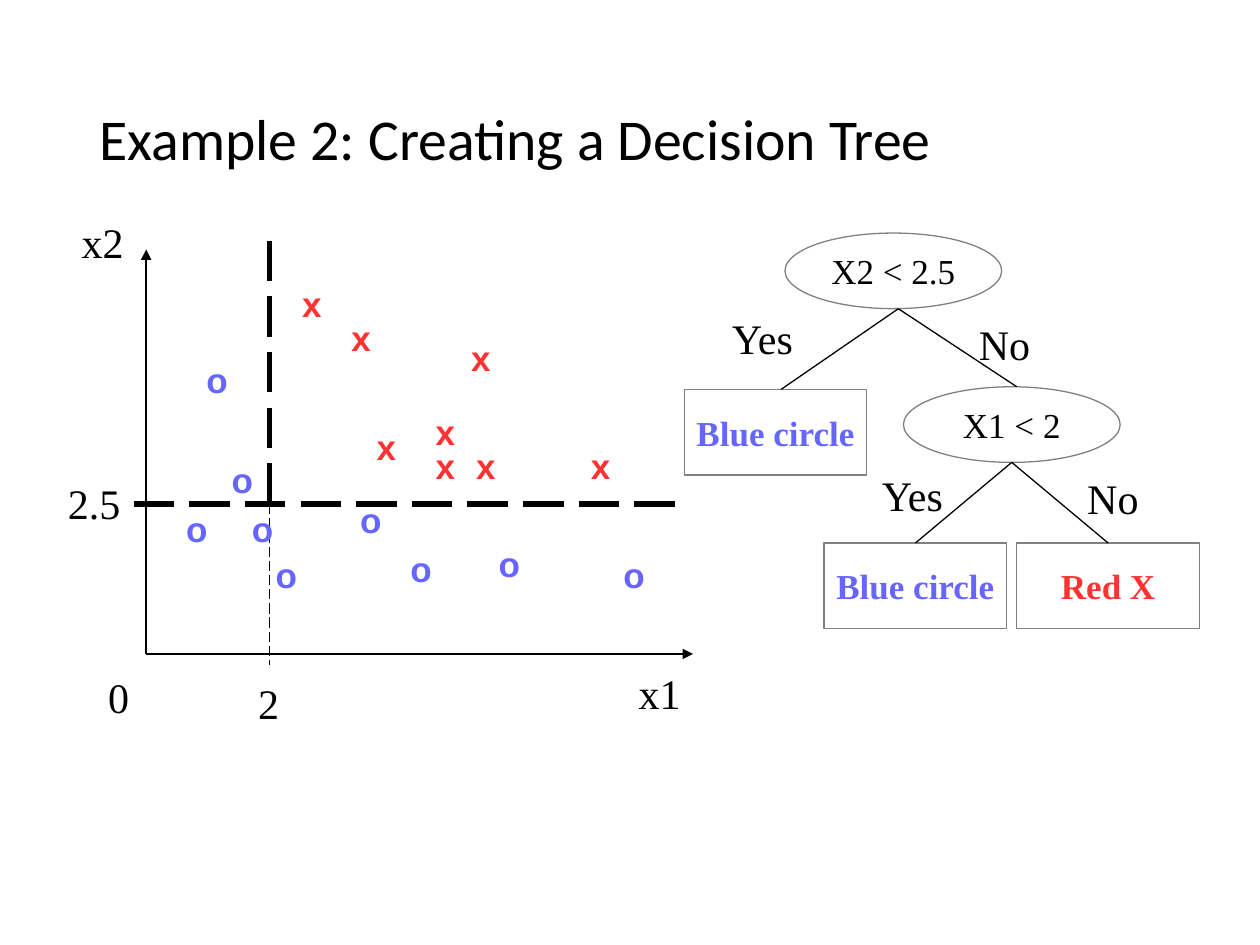
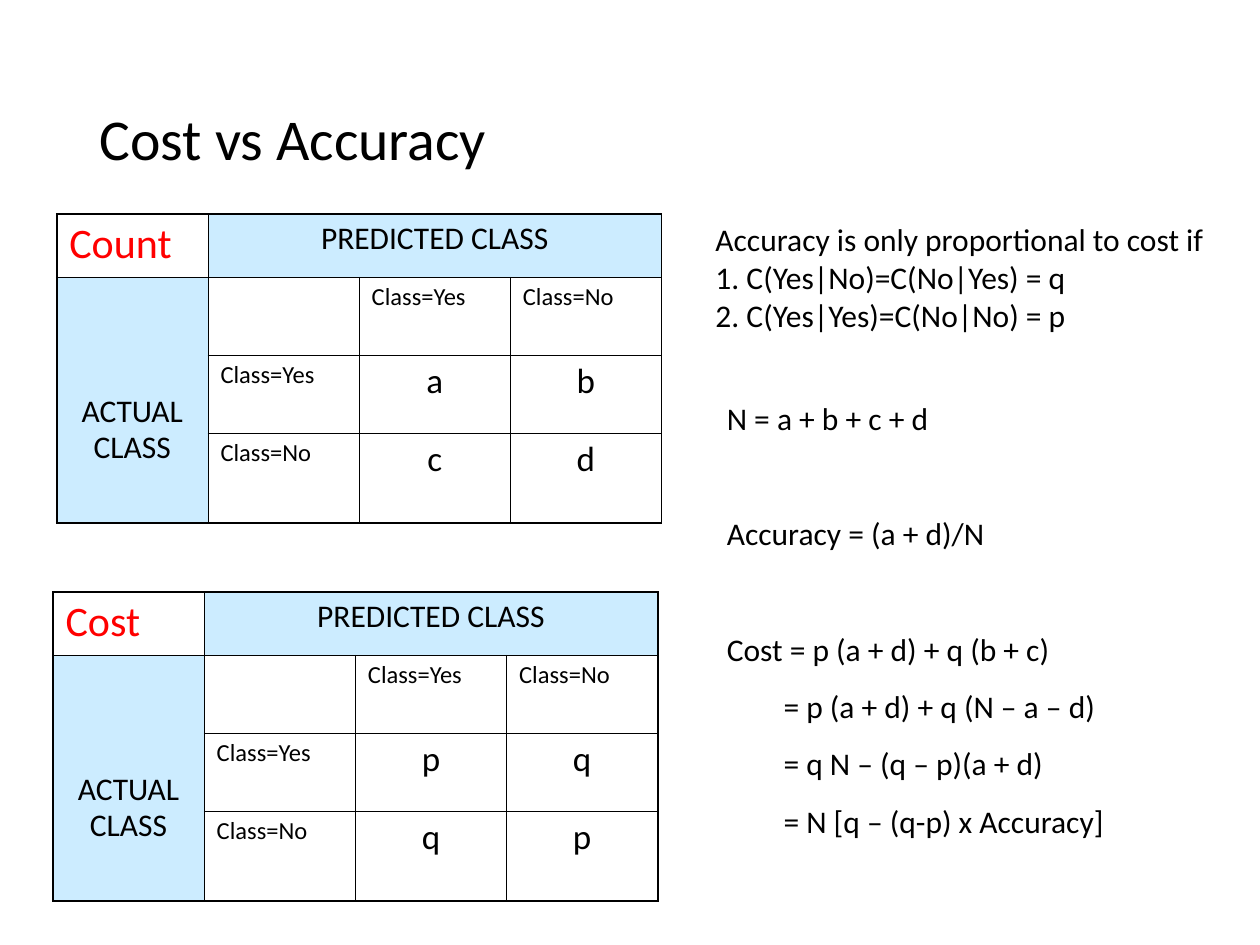
from dataclasses import dataclass

from lxml import etree
from pptx import Presentation
from pptx import util as u
from pptx.dml.color import RGBColor
from pptx.enum import dml, shapes, text
from pptx.oxml.ns import qn

# Shared look
BLACK, WHITE, GREY = "000000", "FFFFFF", "808080"
BLUE, RED = "6666FF", "FF3333"
HEADING_RED, HEADER_FILL = "FF0000", "CCECFF"
SANS, SERIF, MARKER_FONT = "Calibri", "Times New Roman", "Arial"
THIN, THICK = 0.75, 2.89
CENTER = text.PP_ALIGN.CENTER
TITLE_ONLY = 5


@dataclass
class Node:
    label: str
    left: float
    top: float
    color: str = BLACK
    leaf: bool = False


@dataclass
class Line:
    start: tuple[float, float]
    end: tuple[float, float]
    width: float = THIN
    dashed: bool = False
    arrow: bool = False


@dataclass
class Label:
    words: str
    left: float
    top: float
    width: float
    height: float = 0.5


@dataclass
class Matrix:
    name: str
    left: float
    top: float
    values: tuple[str, str, str, str]


def rgb(color: str) -> RGBColor:
    return RGBColor.from_string(color)


def style(paragraph, size: float, color: str = BLACK, font: str = SANS, bold: bool = False) -> None:
    paragraph.font.name = font
    paragraph.font.size = u.Pt(size)
    paragraph.font.bold = bold
    paragraph.font.color.rgb = rgb(color)


def add_titled_slide(presentation, words: str):
    slide = presentation.slides.add_slide(presentation.slide_layouts[TITLE_ONLY])
    title = slide.shapes.title
    title.left, title.top = u.Inches(0.69), u.Inches(0.4)
    title.width, title.height = u.Inches(8.62), u.Inches(1.45)
    frame = title.text_frame
    frame.text = words
    frame.auto_size = text.MSO_AUTO_SIZE.NONE
    frame.vertical_anchor = text.MSO_ANCHOR.MIDDLE
    paragraph = frame.paragraphs[0]
    paragraph.alignment = text.PP_ALIGN.LEFT
    paragraph.line_spacing = 0.9
    style(paragraph, 33)
    return slide


def add_text(slide, label: Label, size: float, color: str = BLACK, font: str = SANS,
             bold: bool = False, wrap: bool = False):
    box = slide.shapes.add_textbox(u.Inches(label.left), u.Inches(label.top),
                                   u.Inches(label.width), u.Inches(label.height))
    frame = box.text_frame
    frame.word_wrap = wrap
    frame.text = label.words
    for paragraph in frame.paragraphs:
        style(paragraph, size, color, font, bold)
    return frame


def add_line(slide, line: Line):
    connector = slide.shapes.add_connector(
        shapes.MSO_CONNECTOR.STRAIGHT, *(u.Inches(value) for value in line.start + line.end))
    connector.line.width = u.Pt(line.width)
    connector.line.color.rgb = rgb(BLACK)
    if line.dashed:
        connector.line.dash_style = dml.MSO_LINE.LONG_DASH
    properties = connector._element.spPr
    if line.arrow:
        etree.SubElement(properties.find(qn("a:ln")), qn("a:tailEnd"), type="triangle")
    etree.SubElement(properties, qn("a:effectLst"))
    return connector


def add_node(slide, node: Node):
    kind = shapes.MSO_SHAPE.RECTANGLE if node.leaf else shapes.MSO_SHAPE.OVAL
    width, height = (1.45, 0.68) if node.leaf else (1.72, 0.6)
    shape = slide.shapes.add_shape(kind, u.Inches(node.left), u.Inches(node.top),
                                   u.Inches(width), u.Inches(height))
    shape.shadow.inherit = False
    shape.fill.solid()
    shape.fill.fore_color.rgb = rgb(WHITE)
    fill_color = shape._element.spPr.find(qn("a:solidFill")).find(qn("a:srgbClr"))
    etree.SubElement(fill_color, qn("a:alpha"), val="20000")
    shape.line.color.rgb = rgb(GREY)
    shape.line.width = u.Pt(THIN)
    frame = shape.text_frame
    frame.word_wrap = False
    frame.vertical_anchor = text.MSO_ANCHOR.MIDDLE
    frame.text = node.label
    frame.paragraphs[0].alignment = CENTER
    style(frame.paragraphs[0], 20, node.color, SERIF, node.leaf)
    return shape


def set_borders(cell, widths: dict[str, float]) -> None:
    properties = cell._tc.get_or_add_tcPr()
    for side, width in widths.items():
        border = etree.SubElement(properties, qn(f"a:ln{side}"), w=str(u.Pt(width)))
        fill = etree.SubElement(border, qn("a:solidFill"))
        etree.SubElement(fill, qn("a:srgbClr"), val=BLACK)


def add_matrix(slide, matrix: Matrix) -> None:
    row_heights, column_count = (0.5, 0.62, 0.62, 0.71), 4
    row_count = len(row_heights)
    table = slide.shapes.add_table(row_count, column_count, u.Inches(matrix.left), u.Inches(matrix.top),
                                   u.Inches(4.8), u.Inches(sum(row_heights))).table
    table.first_row = table.horz_banding = False
    for row, height in zip(table.rows, row_heights):
        row.height = u.Inches(height)
    table.cell(0, 1).merge(table.cell(0, 3))
    table.cell(1, 0).merge(table.cell(3, 0))

    first, second, third, fourth = matrix.values
    rows = [
        [matrix.name, "PREDICTED CLASS", "", ""],
        ["ACTUAL\vCLASS", "", "Class=Yes", "Class=No"],
        ["", "Class=Yes", first, second],
        ["", "Class=No", third, fourth],
    ]
    for row_index, row in enumerate(rows):
        for column_index, words in enumerate(row):
            cell = table.cell(row_index, column_index)
            if cell.is_spanned:
                continue
            # Heavier lines on the outer edge only
            outer = {
                "L": column_index == 0,
                "R": column_index + cell.span_width == column_count,
                "T": row_index == 0,
                "B": row_index + cell.span_height == row_count,
            }
            set_borders(cell, {side: 1.08 if edge else 0.45 for side, edge in outer.items()})
            if cell.is_merge_origin:
                cell.fill.solid()
                cell.fill.fore_color.rgb = rgb(HEADER_FILL)
            else:
                cell.fill.background()
            cell.text = words
            paragraph = cell.text_frame.paragraphs[0]
            paragraph.line_spacing = 0.93
            is_value = row_index > 1 and column_index > 1
            if cell.is_merge_origin or is_value:
                paragraph.alignment = CENTER
            if row_index == column_index == 0:
                style(paragraph, 24, HEADING_RED)
            else:
                style(paragraph, 18 if cell.is_merge_origin else 20 if is_value else 14)
    table.cell(1, 0).margin_top = u.Inches(0.93)


def build_tree_slide(presentation) -> None:
    slide = add_titled_slide(presentation, "Example 2: Creating a Decision Tree")

    # Scatter plot: axes and split lines
    for line in (
        Line((1.16, 5.19), (5.5, 5.19), arrow=True),
        Line((1.16, 5.19), (1.16, 1.98), arrow=True),
        Line((1.06, 4), (5.36, 4), THICK, dashed=True),
        Line((2.14, 1.91), (2.14, 3.98), THICK, dashed=True),
        Line((2.14, 4), (2.14, 5.28), dashed=True),
    ):
        add_line(slide, line)
    for label in (
        Label("x1", 4.97, 5.25, 0.53),
        Label("x2", 0.55, 1.67, 0.53),
        Label("0", 0.76, 5.28, 0.36),
        Label("2", 1.95, 5.33, 0.36),
        Label("2.5", 0.44, 3.74, 0.66),
    ):
        add_text(slide, label, 24, font=SERIF)

    # Scatter plot: data points
    circles = [(1.74, 3.59), (1.38, 3.98), (3.16, 4.3), (3.86, 4.26), (1.54, 2.8),
               (2.76, 3.91), (4.85, 4.34), (1.9, 3.98), (2.09, 4.34)]
    crosses = [(2.89, 3.33), (3.68, 3.48), (4.59, 3.48), (3.36, 3.21), (2.69, 2.46),
               (3.64, 2.62), (3.36, 3.48), (2.3, 2.19)]
    for marker, color, width, points in (("o", BLUE, 0.37, circles), ("x", RED, 0.35, crosses)):
        for left, top in points:
            add_text(slide, Label(marker, left, top, width, 0.43), 20, color, MARKER_FONT, bold=True)

    # Decision tree
    add_node(slide, Node("X2 < 2.5", 6.23, 1.85))
    add_node(slide, Node("X1 < 2", 7.17, 3.07))
    add_node(slide, Node("Blue circle", 5.43, 3.09, BLUE, leaf=True))
    root_exit, child_exit = (7.13, 2.45), (8.03, 3.67)
    for end in ((6.2, 3.09), (8.07, 3.07)):
        add_line(slide, Line(root_exit, end))
    for leaf in (Node("Blue circle", 6.54, 4.31, BLUE, leaf=True),
                 Node("Red X", 8.07, 4.31, RED, leaf=True)):
        shape = add_node(slide, leaf)
        add_line(slide, Line(child_exit, (leaf.left, leaf.top))).end_connect(shape, 0)
    for words, left, top in (("Yes", 5.71, 2.43), ("No", 7.67, 2.48),
                             ("Yes", 6.9, 3.68), ("No", 8.53, 3.7)):
        add_text(slide, Label(words, left, top, 0.72), 24, font=SERIF, wrap=True)


def build_cost_slide(presentation) -> None:
    slide = add_titled_slide(presentation, "Cost vs Accuracy")
    add_matrix(slide, Matrix("Count", 0.45, 1.7, ("a", "b", "c", "d")))
    add_matrix(slide, Matrix("Cost", 0.42, 4.7, ("p", "q", "q", "p")))

    # Conditions
    conditions = ("Accuracy is only proportional to cost if\n"
                  "1. C(Yes|No)=C(No|Yes) = q\n"
                  "2. C(Yes|Yes)=C(No|No) = p")
    add_text(slide, Label(conditions, 5.58, 1.7, 4.12, 1.01), 18, wrap=True)

    # Derivation: continuation lines start with "=" and are indented
    derivation = ("N = a + b + c + d\n"
                  "Accuracy = (a + d)/N\n"
                  "Cost = p (a + d) + q (b + c)\n"
                  "= p (a + d) + q (N – a – d)\n"
                  "= q N – (q – p)(a + d)\n"
                  "= N [q – (q-p) x Accuracy]")
    frame = add_text(slide, Label(derivation, 5.67, 3.12, 3.91, 4.05), 18, wrap=True)
    for paragraph in frame.paragraphs[1:]:
        continued = paragraph.text.startswith("=")
        paragraph.space_before = u.Pt(11.2 if continued else 44.2)
        if continued:
            paragraph._p.get_or_add_pPr().set("marL", str(u.Inches(0.45)))


def main() -> None:
    presentation = Presentation()
    presentation.slide_width, presentation.slide_height = u.Inches(10), u.Inches(7.5)
    build_tree_slide(presentation)
    build_cost_slide(presentation)
    presentation.save("out.pptx")


if __name__ == "__main__":
    main()
